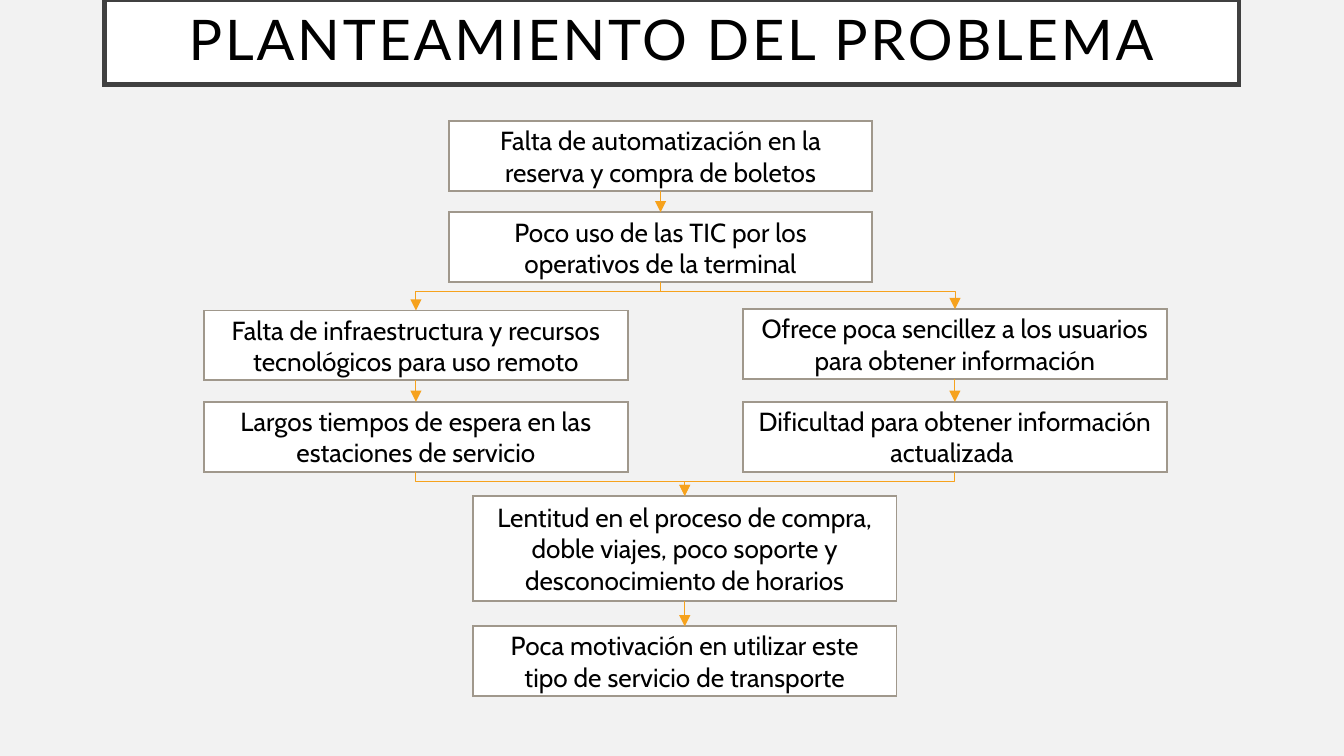
from collections import namedtuple

from lxml.etree import SubElement
from pptx import Presentation
from pptx.dml.color import RGBColor
from pptx.enum.shapes import MSO_CONNECTOR, MSO_SHAPE
from pptx.enum.text import MSO_ANCHOR, PP_ALIGN
from pptx.oxml.ns import qn
from pptx.util import Inches, Pt

COLORS = {
    "background": "F2F2F2",
    "box": "FFFFFF",
    "text": "000000",
    "title_border": "404040",
    "step_border": "A0988C",
    "arrow": "F6A21D",
}
TITLE_FORMAT = {"name": "Lato", "size": Pt(30)}
STEP_FORMAT = {"name": "Cabin", "size": Pt(14)}
STEP_WIDTH = 3.15
BEND_DROP = 0.07  # distance from a step down to the bend of its arrow

Box = namedtuple("Box", "left top width height")

# Steps: name -> (left, top, height, text), relative to the flow chart
STEPS = {
    "automation": (1.82, 0, 0.52, "Falta de automatización en la reserva y compra de boletos"),
    "technology": (1.82, 0.68, 0.52, "Poco uso de las TIC por los operativos de la terminal"),
    "infrastructure": (0, 1.41, 0.52, "Falta de infraestructura y recursos tecnológicos para uso remoto"),
    "simplicity": (4.01, 1.4, 0.52, "Ofrece poca sencillez a los usuarios para obtener información"),
    "difficulty": (4.01, 2.09, 0.52, "Dificultad para obtener información actualizada "),
    "waiting": (0, 2.09, 0.52, "Largos tiempos de espera en las estaciones de servicio"),
    "slowness": (2, 2.79, 0.78,
                 "Lentitud en el proceso de compra, doble viajes, poco soporte y desconocimiento de horarios"),
    "motivation": (2, 3.76, 0.52, "Poca motivación en utilizar este tipo de servicio de transporte"),
}
ARROWS = [
    ("automation", "technology"),
    ("technology", "simplicity"),
    ("infrastructure", "waiting"),
    ("simplicity", "difficulty"),
    ("waiting", "slowness"),
    ("difficulty", "slowness"),
    ("slowness", "motivation"),
    ("technology", "infrastructure"),
]


def color(name):
    return RGBColor.from_string(COLORS[name])


def add_text_box(page, box, text, kind, border, border_width, font_format):
    shape = page.shapes.add_shape(kind, *(Inches(length) for length in box))
    shape.shadow.inherit = False
    shape.fill.solid()
    shape.fill.fore_color.rgb = color("box")
    shape.line.color.rgb = color(border)
    shape.line.width = Pt(border_width)
    # Square corners on the border
    SubElement(shape.line._get_or_add_ln(), qn("a:miter"), lim="800000")

    frame = shape.text_frame
    frame.word_wrap = True
    frame.vertical_anchor = MSO_ANCHOR.MIDDLE
    para = frame.paragraphs[0]
    para.alignment = PP_ALIGN.CENTER
    span = para.add_run()
    span.text = text
    for attribute, value in font_format.items():
        setattr(span.font, attribute, value)
    span.font.color.rgb = color("text")
    return shape


def add_title(page, box):
    shape = add_text_box(page, box, "PLANTEAMIENTO DEL PROBLEMA",
                         MSO_SHAPE.RECTANGLE, "title_border", 2.5, TITLE_FORMAT)
    frame = shape.text_frame
    frame.margin_top = frame.margin_bottom = Inches(0.1)
    para = frame.paragraphs[0]
    para.line_spacing = 0.9
    # Letter spacing, in hundredths of a point
    para.runs[0].font._element.set("spc", "150")


def add_arrow(page, start, end):
    """Join the bottom of one step to the top of another."""
    start_x, start_y = start.left + start.width / 2, start.top + start.height
    end_x, end_y = end.left + end.width / 2, end.top
    run, drop = end_x - start_x, end_y - start_y
    bent = abs(run) > 0.01
    kind = MSO_CONNECTOR.STRAIGHT
    points = (start_x, start_y, end_x, end_y)
    if bent:
        # An elbow leaves sideways, so lay it flat and then turn it downwards
        kind = MSO_CONNECTOR.ELBOW
        middle_x, middle_y = (start_x + end_x) / 2, (start_y + end_y) / 2
        half_drop = drop / 2 if run < 0 else -drop / 2
        half_run = abs(run) / 2
        points = (middle_x - half_drop, middle_y - half_run,
                  middle_x + half_drop, middle_y + half_run)

    arrow = page.shapes.add_connector(kind, *(Inches(length) for length in points))
    arrow.line.color.rgb = color("arrow")
    arrow.line.width = Pt(0.5)
    properties = arrow._element.spPr
    SubElement(arrow.line._get_or_add_ln(), qn("a:tailEnd"), type="triangle")
    SubElement(properties, qn("a:effectLst"))
    if bent:
        degrees = 90 if run < 0 else 270
        properties.find(qn("a:xfrm")).set("rot", str(degrees * 60000))
        guides = properties.find(qn("a:prstGeom")).find(qn("a:avLst"))
        SubElement(guides, qn("a:gd"), name="adj1",
                   fmla=f"val {round(BEND_DROP / drop * 100000)}")


def add_flow_chart(page, box):
    places = {}
    for name, (left, top, height, text) in STEPS.items():
        places[name] = Box(box.left + left, box.top + top, STEP_WIDTH, height)
        add_text_box(page, places[name], text, MSO_SHAPE.FLOWCHART_PROCESS,
                     "step_border", 1, STEP_FORMAT)
    for start, end in ARROWS:
        add_arrow(page, places[start], places[end])


def main():
    deck = Presentation()
    # A page of 16 to 9
    deck.slide_width = Inches(10)
    deck.slide_height = Inches(10 * 9 / 16)
    page = deck.slides.add_slide(deck.slide_layouts[6])
    page.background.fill.solid()
    page.background.fill.fore_color.rgb = color("background")

    add_title(page, Box(0.78, 0, 8.44, 0.63))
    add_flow_chart(page, Box(1.52, 0.9, 7.16, 4.28))
    deck.save("out.pptx")


if __name__ == "__main__":
    main()
